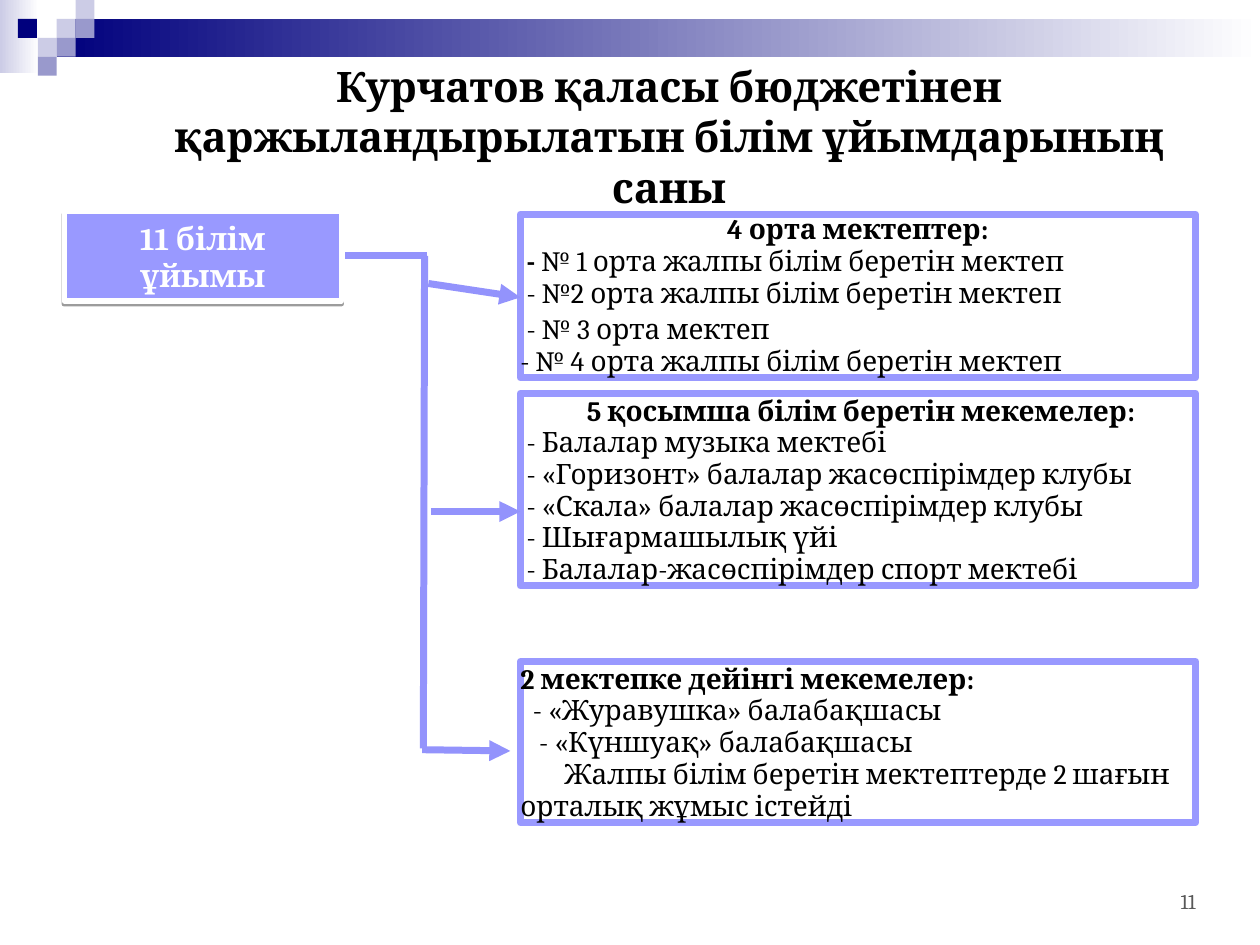
from lxml import etree
from pptx import Presentation
from pptx.dml.color import RGBColor
from pptx.enum.shapes import MSO_CONNECTOR, MSO_SHAPE
from pptx.enum.text import MSO_ANCHOR, MSO_AUTO_SIZE, PP_ALIGN
from pptx.oxml import parse_xml
from pptx.oxml.ns import nsdecls, qn
from pptx.util import Inches, Pt

RECTANGLE = MSO_SHAPE.RECTANGLE
STRAIGHT = MSO_CONNECTOR.STRAIGHT
TOP, MIDDLE = MSO_ANCHOR.TOP, MSO_ANCHOR.MIDDLE
LEFT, CENTER = PP_ALIGN.LEFT, PP_ALIGN.CENTER

THEME = {
    "font": "Cambria",
    "navy": "00007D", "slate": "9999CC", "mist": "CCCCE6",
    "violet": "9999FF", "arrow": "9393FC",
    "white": "FFFFFF", "black": "000000", "gray": "595959",
    "title": 24, "root": 18, "list": 16, "number": 12,
}


def set_frame(shape, anchor, margins):
    """Format a text frame; margins run left, top, right, bottom."""
    frame = shape.text_frame
    values = dict(zip(("margin_left", "margin_top", "margin_right", "margin_bottom"),
                      map(Inches, margins)))
    values.update(word_wrap=True, auto_size=MSO_AUTO_SIZE.NONE, vertical_anchor=anchor)
    for name, value in values.items():
        setattr(frame, name, value)
    return frame


def write(paragraph, text, size, color="black", bold=False, align=LEFT):
    paragraph.alignment = align
    run = paragraph.add_run()
    run.text = text
    values = {"name": THEME["font"], "size": Pt(THEME[size]), "bold": bold}
    for name, value in values.items():
        setattr(run.font, name, value)
    run.font.color.rgb = RGBColor.from_string(THEME[color])


presentation = Presentation()
presentation.slide_width, presentation.slide_height = Inches(10), Inches(7.5)
slide = presentation.slides.add_slide(presentation.slide_layouts[5])
shapes = slide.shapes

# Header band and mosaic: left, top, width, height, colour, fades to white
TILE = 0.15
decorations = [
    (0, 0, 0.31, 0.58, "mist", True),
    (0.45, 0.15, 9.55, 0.3, "navy", True),
]
tiles = [(3, 1, "mist"), (4, 0, "mist"), (4, 1, "slate"), (2, 2, "mist"),
         (0.95, 1, "navy"), (3, 2, "slate"), (2, 3, "slate")]
decorations += [(column * TILE, row * TILE, TILE, TILE, color, False)
                for column, row, color in tiles]
for left, top, width, height, color, fades in decorations:
    shape = shapes.add_shape(RECTANGLE, *map(Inches, (left, top, width, height)))
    shape.shadow.inherit = False
    shape.line.fill.background()
    if fades:
        shape.fill.gradient()
        shape.fill.gradient_angle = 0
        for stop, name in zip(shape.fill.gradient_stops, (color, "white")):
            stop.color.rgb = RGBColor.from_string(THEME[name])
    else:
        shape.fill.solid()
        shape.fill.fore_color.rgb = RGBColor.from_string(THEME[color])

# Title
title = shapes.title
title.left, title.top, title.width, title.height = map(Inches, (0.98, 0.44, 8.66, 1.29))
frame = set_frame(title, TOP, (0.09, 0.04, 0.09, 0.04))
write(frame.paragraphs[0],
      "Курчатов қаласы бюджетінен қаржыландырылатын білім ұйымдарының саны",
      "title", bold=True, align=CENTER)

# Boxes by kind of organisation: top, height, heading, its alignment, its indent,
# then items as first-line indent and text
BOX_LEFT, BOX_WIDTH = 4.13, 5.36
SPACE = 0.05
groups = [
    (1.7, 1.3, "4 орта мектептер:", CENTER, 0, [
        (SPACE, "- № 1 орта жалпы білім беретін мектеп"),
        (SPACE, "- №2 орта жалпы білім беретін мектеп"),
        (SPACE, "- № 3 орта мектеп"),
        (0, "- № 4 орта жалпы білім беретін мектеп"),
    ]),
    (3.12, 1.53, "5 қосымша білім беретін мекемелер:", CENTER, SPACE, [
        (SPACE, "- Балалар музыка мектебі"),
        (SPACE, "- «Горизонт» балалар жасөспірімдер клубы"),
        (SPACE, "- «Скала» балалар жасөспірімдер клубы"),
        (SPACE, "- Шығармашылық үйі"),
        (SPACE, "- Балалар-жасөспірімдер спорт мектебі"),
    ]),
    (5.25, 1.28, "2 мектепке дейінгі мекемелер:", LEFT, 0, [
        (2 * SPACE, "- «Журавушка» балабақшасы"),
        (3 * SPACE, "- «Күншуақ» балабақшасы"),
        (7 * SPACE, "Жалпы білім беретін мектептерде 2 шағын орталық жұмыс істейді"),
    ]),
]
for top, height, heading, align, heading_indent, items in groups:
    box = shapes.add_shape(RECTANGLE, *map(Inches, (BOX_LEFT, top, BOX_WIDTH, height)))
    box.shadow.inherit = False
    box.fill.solid()
    box.fill.fore_color.rgb = RGBColor.from_string(THEME["white"])
    box.line.color.rgb = RGBColor.from_string(THEME["violet"])
    box.line.width = Pt(4)
    frame = set_frame(box, TOP, (0, 0, 0, 0))
    for index, (indent, text) in enumerate([(heading_indent, heading)] + items):
        paragraph = frame.paragraphs[0] if index == 0 else frame.add_paragraph()
        if index == 0:
            write(paragraph, text, "list", bold=True, align=align)
        elif text.startswith("- № 1"):
            write(paragraph, text[:2], "list", bold=True)
            write(paragraph, text[2:], "list")
        else:
            write(paragraph, text, "list")
        if index or heading.startswith("4"):
            paragraph.line_spacing = 0.95
        if text.startswith("- № 3"):
            paragraph.space_before = Pt(2.3)
        properties = paragraph._p.get_or_add_pPr()
        properties.set("marL", "0")
        properties.set("indent", str(Inches(indent)))

# Root box with a soft lower edge
root = shapes.add_shape(RECTANGLE, *map(Inches, (0.51, 1.68, 2.2, 0.71)))
root.fill.solid()
root.fill.fore_color.rgb = RGBColor.from_string(THEME["violet"])
root.line.color.rgb = RGBColor.from_string(THEME["white"])
root.line.width = Pt(3)
root._element.spPr.append(parse_xml(
    f'<a:effectLst {nsdecls("a")}><a:outerShdw blurRad="0" dist="{Pt(1.6)}" dir="5400000" '
    f'rotWithShape="0"><a:srgbClr val="{THEME["black"]}"><a:alpha val="38000"/></a:srgbClr>'
    '</a:outerShdw></a:effectLst>'))
frame = set_frame(root, MIDDLE, (0.1, 0.05, 0.1, 0.05))
write(frame.paragraphs[0], "11 білім ұйымы", "root", "white", True, CENTER)

# Trunk and branches: start x, start y, end x, end y, has arrowhead
connections = [
    (2.74, 2.03, 3.39, 2.03, False),
    (3.37, 2.03, 3.36, 5.94, False),
    (3.4, 2.25, 4.13, 2.36, True),
    (3.42, 4.06, 4.13, 4.06, True),
    (3.35, 5.95, 4.05, 5.96, True),
]
for *points, has_head in connections:
    connector = shapes.add_connector(STRAIGHT, *map(Inches, points))
    connector.line.color.rgb = RGBColor.from_string(THEME["arrow"])
    connector.line.width = Pt(4)
    if has_head:
        etree.SubElement(connector.line._get_or_add_ln(), qn("a:tailEnd"), type="triangle")
    etree.SubElement(connector._element.spPr, qn("a:effectLst"))

# Page number
number = shapes.add_textbox(*map(Inches, (9.34, 6.95, 0.61, 0.4)))
frame = set_frame(number, MIDDLE, (0.03, 0.05, 0.05, 0.05))
write(frame.paragraphs[0], "11", "number", "gray")

presentation.save("out.pptx")
